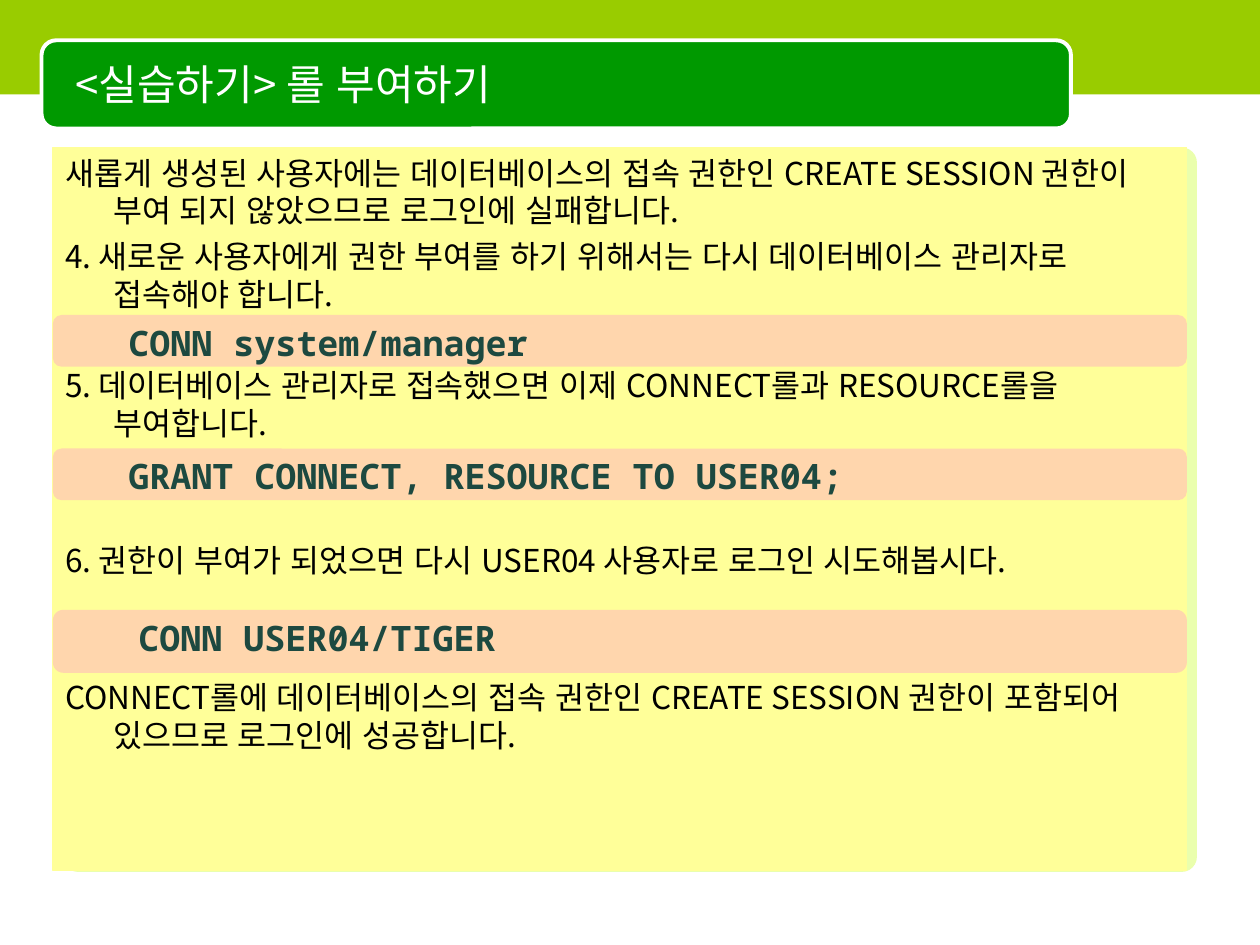
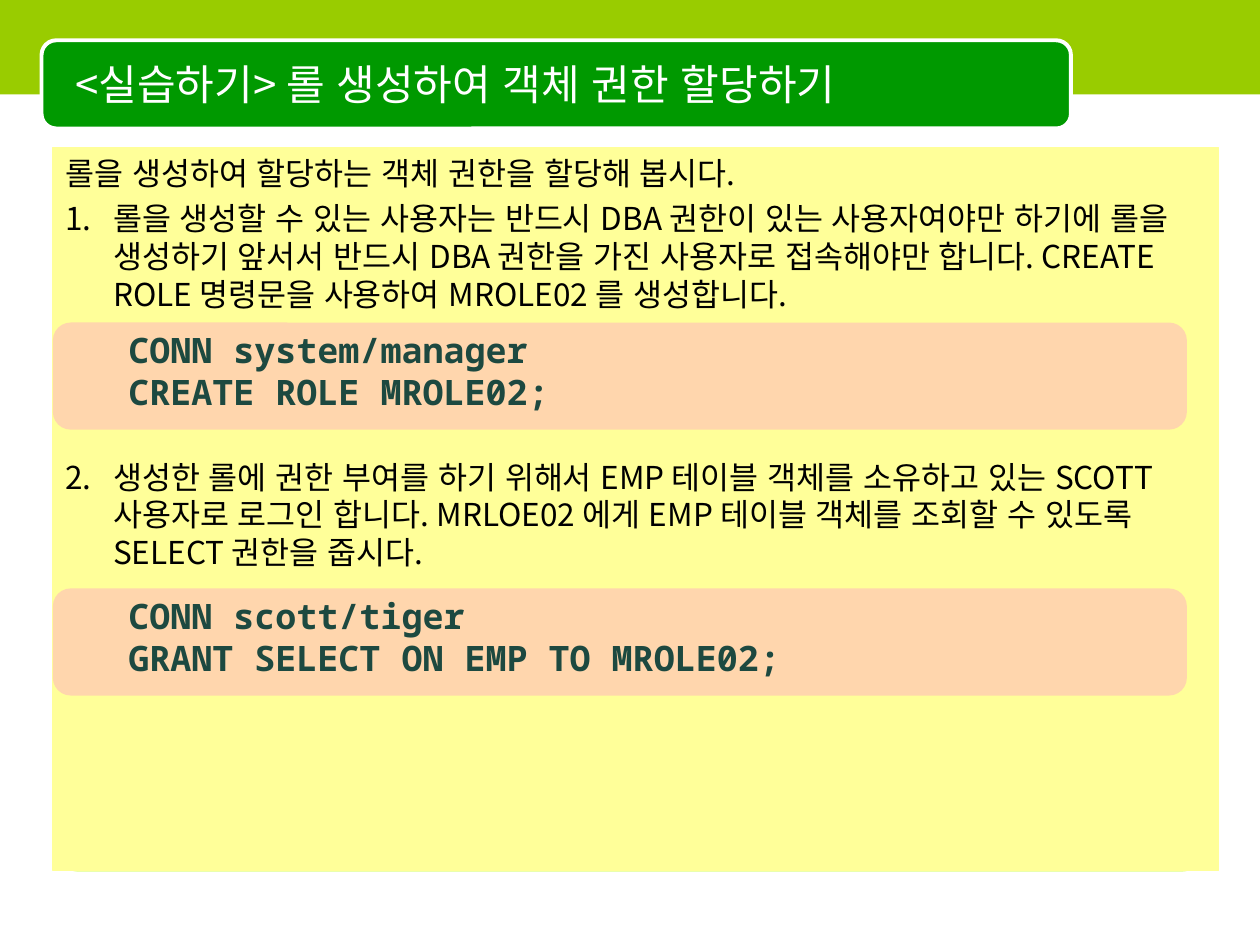
from pptx import Presentation
from pptx.dml.color import RGBColor
from pptx.enum.lang import MSO_LANGUAGE_ID as Lang
from pptx.enum.shapes import MSO_SHAPE as Shape
from pptx.enum.text import MSO_ANCHOR as Anchor, PP_ALIGN as Align
from pptx.oxml.ns import qn
from pptx.util import Inches, Pt
from lxml.etree import SubElement

# Colours and fonts
WHITE = RGBColor(0xFF, 0xFF, 0xFF)
BLACK = RGBColor(0, 0, 0)
LIME = RGBColor(0x99, 0xCC, 0x00)
GREEN = RGBColor(0, 0x99, 0)
GLOW = RGBColor(0xCC, 0xFF, 0x33)
YELLOW = RGBColor(0xFF, 0xFF, 0x99)
PINK = RGBColor(0xFF, 0x99, 0xCC)
TEAL = RGBColor(0x1D, 0x49, 0x40)
SANS, MONO = "Noto Sans CJK KR", "Noto Sans Mono"

LEAD = 1.2       # line height as a multiple of the text size
BODY = 18        # body text size
GAP = 4.5        # space before each body paragraph
INDENT = 0.38

# Content
# steps: (rows left free above, numbered, text)
# codes: (top, band height, text left, lines)
SLIDES = [
    dict(
        title="<실습하기> 롤 부여하기",
        width=9,
        steps=[
            (0, False, "새롭게 생성된 사용자에는 데이터베이스의 접속 권한인 CREATE SESSION 권한이 "
                       "부여 되지 않았으므로 로그인에 실패합니다."),
            (0, False, "4. 새로운 사용자에게 권한 부여를 하기 위해서는 다시 데이터베이스 관리자로 "
                       "접속해야 합니다."),
            (1, False, "5. 데이터베이스 관리자로 접속했으면 이제 CONNECT롤과 RESOURCE롤을 "
                       "부여합니다."),
            (2, False, "6. 권한이 부여가 되었으면 다시 USER04 사용자로 로그인 시도해봅시다."),
            (2, False, "CONNECT롤에 데이터베이스의 접속 권한인 CREATE SESSION 권한이 포함되어 "
                       "있으므로 로그인에 성공합니다."),
        ],
        codes=[
            (2.5, 0.41, 0.92, ["CONN system/manager"]),
            (3.56, 0.41, 0.92, ["GRANT CONNECT, RESOURCE TO USER04;"]),
            (4.84, 0.5, 1, ["CONN USER04/TIGER"]),
        ],
    ),
    dict(
        title="<실습하기> 롤 생성하여 객체 권한 할당하기",
        width=9.25,
        steps=[
            (0, False, "롤을 생성하여 할당하는 객체 권한을 할당해 봅시다."),
            (0, True, "롤을 생성할 수 있는 사용자는 반드시 DBA 권한이 있는 사용자여야만 하기에 롤을 "
                      "생성하기 앞서서 반드시 DBA 권한을 가진 사용자로 접속해야만 합니다. CREATE "
                      "ROLE 명령문을 사용하여 MROLE02 를 생성합니다."),
            (3, True, "생성한 롤에 권한 부여를 하기 위해서 EMP 테이블 객체를 소유하고 있는 SCOTT "
                      "사용자로 로그인 합니다. MRLOE02 에게 EMP 테이블 객체를 조회할 수 있도록 "
                      "SELECT 권한을 줍시다."),
        ],
        codes=[
            (2.56, 0.85, 0.92, ["CONN system/manager", "CREATE ROLE MROLE02;"]),
            (4.67, 0.85, 0.92, ["CONN scott/tiger", "GRANT SELECT ON EMP TO MROLE02;"]),
        ],
    ),
]


def add_box(shapes, kind, area, fill, line=None, width=0, alpha=None, adj=None):
    box = shapes.add_shape(kind, *map(Inches, area))
    box.shadow.inherit = False
    box.fill.solid()
    box.fill.fore_color.rgb = fill
    if alpha:
        color = box.fill._xPr.find(qn("a:solidFill"))[0]
        SubElement(color, qn("a:alpha"), val=str(alpha * 1000))
    if line is None:
        box.line.fill.background()
    else:
        box.line.color.rgb = line
        box.line.width = Pt(width)
    if adj:
        box.adjustments[0] = adj
    return box


def write(frame, lines, size, face, color, bold=False, anchor=Anchor.TOP):
    """Fill a text frame, one paragraph a line, and return the paragraphs."""
    frame.word_wrap = True
    frame.vertical_anchor = anchor
    frame.text = "\n".join(lines)
    for para in frame.paragraphs:
        para.alignment = Align.LEFT
        para.line_spacing = Pt(size * LEAD)
        font = para.font
        font.size, font.name, font.bold = Pt(size), face, bold
        font.color.rgb = color
        font.language_id = Lang.KOREAN
        SubElement(font._element, qn("a:ea"), typeface=face)
    return frame.paragraphs


def add_frame(shapes, title):
    """Panel, top band and title plate shared by all slides."""
    add_box(shapes, Shape.ROUNDED_RECTANGLE, (0.5, 1.17, 9, 5.75), GLOW, alpha=40, adj=0.021)
    add_box(shapes, Shape.RECTANGLE, (0, 0, 10, 0.75), LIME)
    add_box(shapes, Shape.ROUNDED_RECTANGLE, (0.33, 0.32, 8.17, 0.7), GREEN, WHITE, 2.25)
    text = shapes.add_textbox(*map(Inches, (0.5, 0.35, 7.92, 0.62)))
    write(text.text_frame, [title], 24, SANS, WHITE, anchor=Anchor.MIDDLE)


def add_steps(shapes, width, steps):
    box = add_box(shapes, Shape.RECTANGLE, (0.42, 1.17, width, 5.74), YELLOW, YELLOW, 0.75)
    paras = write(box.text_frame, [text for *_, text in steps], BODY, SANS, BLACK)
    for para, (rows, number, _) in zip(paras, steps):
        para.space_before = Pt(GAP + rows * (BODY * LEAD + GAP))
        props = para._p.pPr
        props.set("marL", str(Inches(INDENT)))
        props.set("indent", str(-Inches(INDENT)))
        if number:
            mark = SubElement(props, qn("a:buAutoNum"), type="arabicPeriod")
            props.find(qn("a:defRPr")).addprevious(mark)


def add_code(shapes, top, height, left, lines):
    group = shapes.add_group_shape().shapes
    add_box(group, Shape.ROUNDED_RECTANGLE, (0.42, top, 9, height), PINK, alpha=40)
    text = group.add_textbox(*map(Inches, (left, top, 8.5, 0.1 + len(lines) / 3)))
    write(text.text_frame, lines, 20, MONO, TEAL, bold=True)


def main():
    deck = Presentation()
    deck.slide_width, deck.slide_height = Inches(10), Inches(7.5)
    for page in SLIDES:
        shapes = deck.slides.add_slide(deck.slide_layouts[6]).shapes
        add_frame(shapes, page["title"])
        add_steps(shapes, page["width"], page["steps"])
        for code in page["codes"]:
            add_code(shapes, *code)
    deck.save("out.pptx")


if __name__ == "__main__":
    main()
